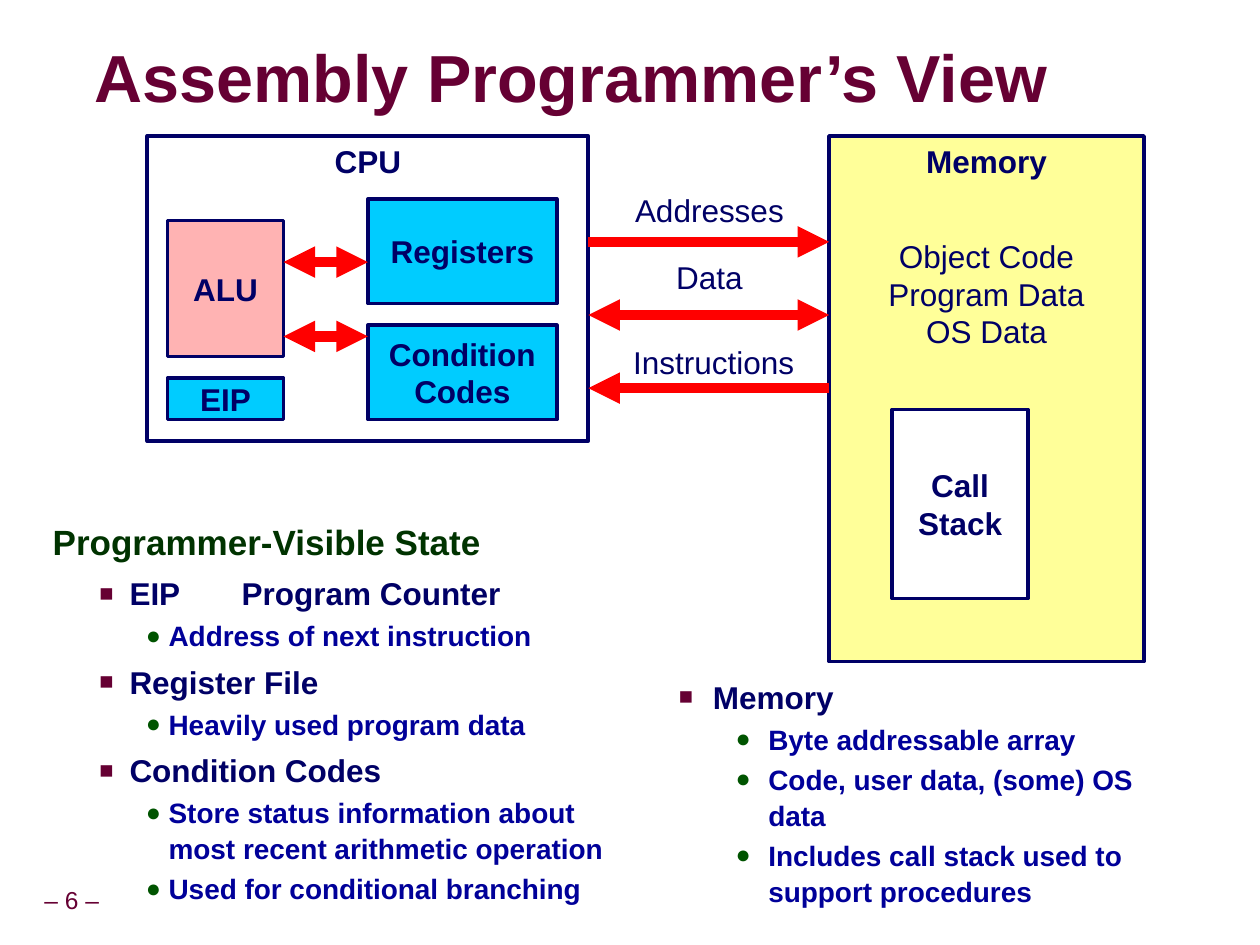
"""Build the Assembly Programmer's View slide."""
from dataclasses import dataclass
from typing import Optional

from lxml.etree import SubElement
from pptx import Presentation
from pptx.dml.color import RGBColor
from pptx.enum.shapes import MSO_CONNECTOR, MSO_SHAPE
from pptx.enum.text import MSO_ANCHOR, PP_ALIGN
from pptx.oxml.ns import qn
from pptx.util import Inches, Pt


@dataclass(frozen=True)
class Theme:
    font: str = "Arial"
    maroon: str = "660033"
    navy: str = "000066"
    blue: str = "000099"
    green: str = "003300"
    dot: str = "005400"
    cyan: str = "00CCFF"
    pink: str = "FFB3B3"
    yellow: str = "FFFF99"
    white: str = "FFFFFF"
    red: str = "FF0000"
    title: int = 38
    heading: int = 20
    label: int = 18
    detail: int = 16
    page: int = 14


T = Theme()


@dataclass(frozen=True)
class Box:
    text: str
    at: tuple[float, float, float, float]
    fill: Optional[str] = None
    line: Optional[float] = 2
    bold: bool = True
    anchor: MSO_ANCHOR = MSO_ANCHOR.MIDDLE
    wrap: bool = False


@dataclass(frozen=True)
class Arrow:
    x1: float
    x2: float
    y: float
    ends: tuple[str, ...] = ("headEnd", "tailEnd")


@dataclass(frozen=True)
class Level:
    size: int
    color: str
    before: float
    spacing: float
    bullet: Optional[tuple[str, str, int]] = None


@dataclass(frozen=True)
class Outline:
    at: tuple[float, float, float, float]
    indents: tuple[tuple[float, float], ...]
    items: tuple[tuple[int, str], ...]
    tabs: tuple[float, ...] = ()


LEVELS = (
    Level(T.heading, T.green, 10, 0.95),
    Level(T.label, T.navy, 6, 1.0, ("■", T.maroon, 75)),
    Level(T.detail, T.blue, 2.4, 1.07, ("●", T.dot, 90)),
)


def label(text: str, x: float, y: float, w: float, h: float = 0.4) -> Box:
    return Box(text, (x, y, w, h), None, None, False, MSO_ANCHOR.TOP, True)


BACK_BOXES = (
    Box("EIP", (1.33, 3, 0.92, 0.33), T.cyan),
    Box("Registers", (2.92, 1.58, 1.5, 0.83), T.cyan),
    Box("CPU", (1.17, 1.08, 3.5, 2.42), None, 2.25, anchor=MSO_ANCHOR.TOP, wrap=True),
    Box("Memory", (6.58, 1.08, 2.5, 4.17), T.yellow, anchor=MSO_ANCHOR.TOP),
    label("Object Code\nProgram Data\nOS Data", 6.58, 1.83, 2.5, 1),
)
BUSES = (
    Arrow(4.67, 6.58, 1.92, ("tailEnd",)),
    Arrow(4.67, 6.58, 2.5),
    Arrow(4.67, 6.58, 3.08, ("headEnd",)),
)
FRONT_BOXES = (
    label("Addresses", 4.67, 1.47, 1.92),
    label("Data", 4.67, 2, 1.92),
    label("Instructions", 4.75, 2.67, 1.83),
    Box("Call\nStack", (7.08, 3.25, 1.08, 1.5), T.white),
    Box("Condition\nCodes", (2.92, 2.58, 1.5, 0.75), T.cyan),
    Box("ALU", (1.33, 1.75, 0.92, 1.08), T.pink),
)
ALU_LINKS = (Arrow(2.25, 2.92, 2.08), Arrow(2.25, 2.92, 2.67))
STATE = Outline(
    (0.32, 4.11, 4.77, 2.94),
    ((0, 0), (0.61, -0.24), (0.92, -0.18)),
    (
        (0, "Programmer-Visible State"),
        (1, "EIP\tProgram Counter"),
        (2, "Address of next instruction"),
        (1, "Register File"),
        (2, "Heavily used program data"),
        (1, "Condition Codes"),
        (2, "Store status information about most recent arithmetic operation"),
        (2, "Used for conditional branching"),
    ),
    (1.5, 5),
)
MEMORY = Outline(
    (4.75, 5.33, 4.46, 1.72),
    ((0, 0), (0.81, -0.27), (1.25, -0.26)),
    (
        (1, "Memory"),
        (2, "Byte addressable array"),
        (2, "Code, user data, (some) OS data"),
        (2, "Includes call stack used to support procedures"),
    ),
)


def add_run(p, text: str, size: int, color: str, bold: bool):
    r = p.add_run()
    r.text = text
    for name, value in {"name": T.font, "size": Pt(size), "bold": bold}.items():
        setattr(r.font, name, value)
    r.font.color.rgb = RGBColor.from_string(color)
    return r


def add_text(s, at: tuple, text: str, size: int, margin: float, spacing: float,
             bold: bool, wrap: bool, align: PP_ALIGN):
    tf = s.shapes.add_textbox(*map(Inches, at)).text_frame
    tf.word_wrap, tf.vertical_anchor = wrap, MSO_ANCHOR.MIDDLE
    for side in ("left", "top", "right", "bottom"):
        setattr(tf, f"margin_{side}", Inches(margin))
    p = tf.paragraphs[0]
    p.alignment, p.line_spacing = align, spacing
    return add_run(p, text, size, T.maroon, bold)


def add_box(s, box: Box) -> None:
    at = map(Inches, box.at)
    if box.line is None:
        sp = s.shapes.add_textbox(*at)
    else:
        sp = s.shapes.add_shape(MSO_SHAPE.RECTANGLE, *at)
        sp.shadow.inherit = False
        sp.line.color.rgb, sp.line.width = RGBColor.from_string(T.navy), Pt(box.line)
        if box.fill:
            sp.fill.solid()
            sp.fill.fore_color.rgb = RGBColor.from_string(box.fill)
        else:
            sp.fill.background()
    tf = sp.text_frame
    tf.word_wrap, tf.vertical_anchor = box.wrap, box.anchor
    for i, line in enumerate(box.text.split("\n")):
        p = tf.add_paragraph() if i else tf.paragraphs[0]
        p.alignment = PP_ALIGN.CENTER
        add_run(p, line, T.label, T.navy, box.bold)


def add_arrow(s, arrow: Arrow) -> None:
    ends = map(Inches, (arrow.x1, arrow.y, arrow.x2, arrow.y))
    sp = s.shapes.add_connector(MSO_CONNECTOR.STRAIGHT, *ends)
    sp.line.color.rgb, sp.line.width = RGBColor.from_string(T.red), Pt(6)
    for end in arrow.ends:
        SubElement(sp.line._get_or_add_ln(), qn(f"a:{end}"), type="triangle")
    SubElement(sp._element.spPr, qn("a:effectLst"))


def add_outline(s, outline: Outline) -> None:
    tf = s.shapes.add_textbox(*map(Inches, outline.at)).text_frame
    tf.word_wrap = True
    for i, (depth, text) in enumerate(outline.items):
        level = LEVELS[depth]
        p = tf.add_paragraph() if i else tf.paragraphs[0]
        pPr = p._p.get_or_add_pPr()
        for name, value in zip(("marL", "indent"), outline.indents[depth]):
            pPr.set(name, str(Inches(value)))
        if level.bullet:
            char, color, percent = level.bullet
            SubElement(SubElement(pPr, qn("a:buClr")), qn("a:srgbClr"), val=color)
            SubElement(pPr, qn("a:buSzPct"), val=str(percent * 1000))
            SubElement(pPr, qn("a:buFont"), typeface=T.font)
            SubElement(pPr, qn("a:buChar"), char=char)
        if outline.tabs:
            tabs = SubElement(pPr, qn("a:tabLst"))
            for pos in outline.tabs:
                SubElement(tabs, qn("a:tab"), pos=str(Inches(pos)), algn="l")
        fmt = {"level": depth, "line_spacing": level.spacing,
               "space_before": Pt(level.before if i else 0)}
        for name, value in fmt.items():
            setattr(p, name, value)
        add_run(p, text, level.size, level.color, True)


def add_title(s) -> None:
    r = add_text(s, (0.75, 0.33, 7.9, 0.63), "Assembly Programmer’s View", T.title, 0,
                 0.87, True, True, PP_ALIGN.LEFT)
    rPr = r.font._element
    effects = rPr.makeelement(qn("a:effectLst"), {})
    rPr.find(qn("a:solidFill")).addnext(effects)
    shadow = SubElement(effects, qn("a:outerShdw"), blurRad="38100", dist="38100", dir="2700000")
    SubElement(shadow, qn("a:srgbClr"), val="C0C0C0")


def main() -> None:
    prs = Presentation()
    prs.slide_width, prs.slide_height = Inches(10), Inches(7.5)
    s = prs.slides.add_slide(prs.slide_layouts[6])
    add_text(s, (0.24, 7, 0.66, 0.31), "– 6 –", T.page, 0.05, 0.9, False, False, PP_ALIGN.CENTER)
    add_title(s)
    add_outline(s, STATE)
    for draw, things in ((add_box, BACK_BOXES), (add_arrow, BUSES), (add_box, FRONT_BOXES),
                         (add_arrow, ALU_LINKS), (add_outline, (MEMORY,))):
        for thing in things:
            draw(s, thing)
    prs.save("out.pptx")


if __name__ == "__main__":
    main()
